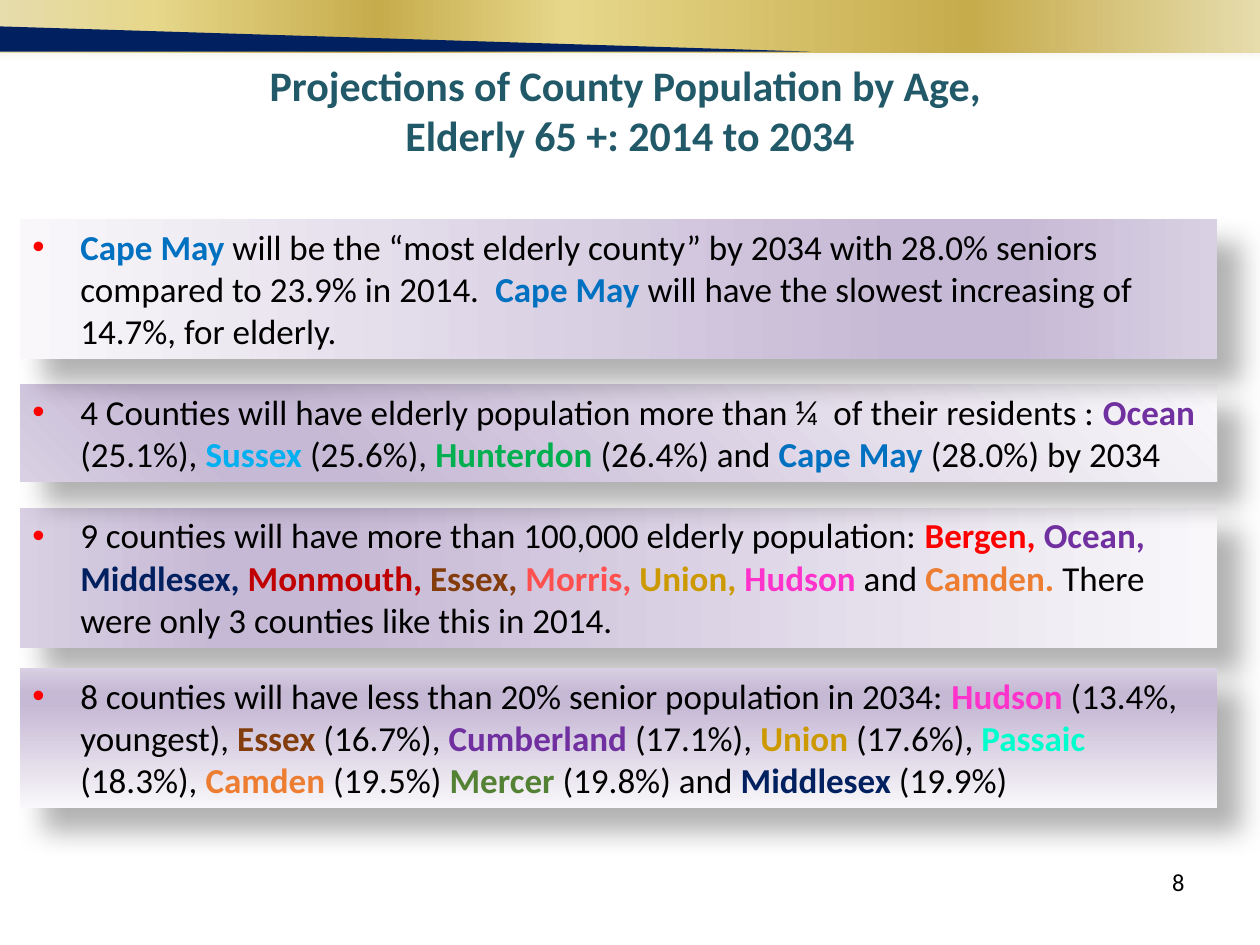
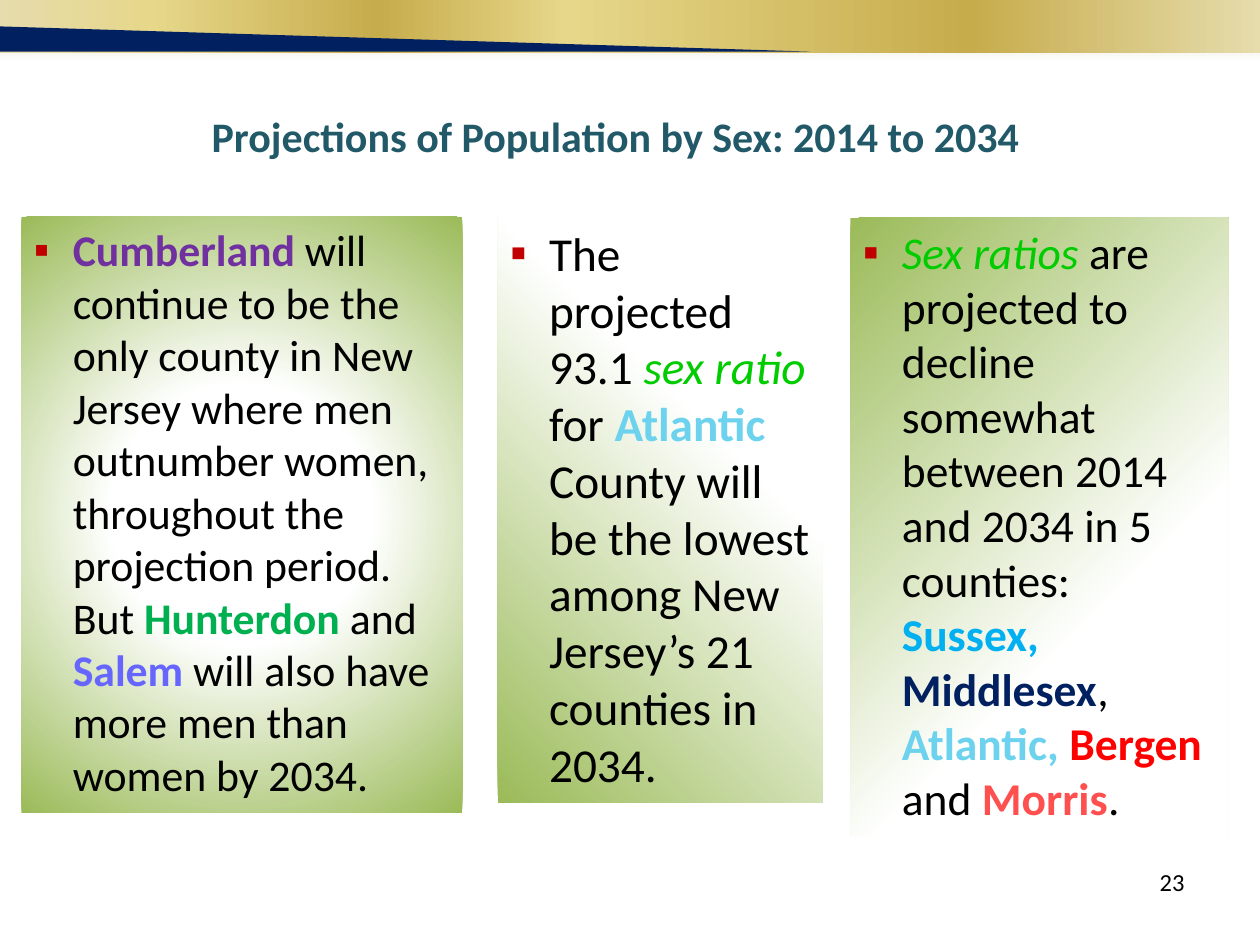
"""Build two slides on New Jersey county population projections."""
import pptx
import pptx.dml.color
import pptx.enum.shapes
import pptx.enum.text
import pptx.oxml
import pptx.oxml.ns
import pptx.util

Inches = pptx.util.Inches
Points = pptx.util.Pt
RECTANGLE = pptx.enum.shapes.MSO_SHAPE.RECTANGLE
ALIGN = pptx.enum.text.PP_ALIGN
TOP = pptx.enum.text.MSO_ANCHOR.TOP
NAMESPACE = pptx.oxml.ns.nsdecls("a")

BLACK, NAVY, TEAL = "000000", "002060", "215968"
GOLD = [(0, "E6DCAC"), (12, "E6D78A"), (30, "C7AC4C"), (45, "E6D78A"), (77, "C7AC4C"), (100, "E6DCAC")]
FADE = [(0, "EEECE1"), (100, "FFFFFF")]
LILAC = [(0, "F9F7FA"), (74, "C6B9D5"), (83, "C6B9D5"), (100, "D9D0E3")]
GREEN = [(0, "FFFFFF"), (35, "FFFFFF"), (100, "9BBB59")]
HIGHLIGHTS = {
    "Atlantic": "6CD2EE", "Bergen": "FF0000", "Camden": "ED7D31", "Cape May": "0070C0",
    "Cumberland": "7030A0", "Essex": "833C0C", "Hudson": "FF33CC", "Hunterdon": "00B050",
    "Mercer": "548235", "Middlesex": NAVY, "Monmouth": "C00000", "Morris": "FF5050",
    "Ocean": "7030A0", "Passaic": "00FFCC", "Salem": "6666FF", "Sussex": "00B0F0",
    "Union": "CC9900", "sex ratio": "00CC00", "Sex ratios": "00CC00",
}
SHADOW = (
    f'<a:outerShdw {NAMESPACE} blurRad="190500" dist="228600" dir="2700000" algn="tl" rotWithShape="0">'
    '<a:srgbClr val="000000"><a:alpha val="30000"/></a:srgbClr></a:outerShdw>'
)


def colour(hex_value):
    """Turn a hex string into a colour."""
    return pptx.dml.color.RGBColor.from_string(hex_value)


def add_gradient_box(slide, box, stops, direction):
    """Add a flat rectangle; direction is an angle or the four sides of a focus."""
    shape = slide.shapes.add_shape(RECTANGLE, *map(Inches, box))
    shape.shadow.inherit = False
    shape.line.fill.background()
    shape.fill.gradient()
    gradient = shape.element.spPr.find(pptx.oxml.ns.qn("a:gradFill"))
    gradient.clear()
    stop_xml = "".join(
        f'<a:gs pos="{position * 1000}"><a:srgbClr val="{value}"/></a:gs>' for position, value in stops)
    gradient.append(pptx.oxml.parse_xml(f"<a:gsLst {NAMESPACE}>{stop_xml}</a:gsLst>"))
    if isinstance(direction, tuple):
        sides = " ".join(f'{side}="{percent * 1000}"' for side, percent in zip("ltrb", direction))
        path_xml = f'<a:path {NAMESPACE} path="circle"><a:fillToRect {sides}/></a:path>'
    else:
        path_xml = f'<a:lin {NAMESPACE} ang="{direction * 60000}" scaled="0"/>'
    gradient.append(pptx.oxml.parse_xml(path_xml))
    return shape


SLIDES = [
    {
        "title": "Projections of County Population by Age, \nElderly 65 +: 2014 to 2034",
        "title_box": (0.79, 0.42, 8.42, 0.91), "title_align": ALIGN.CENTER, "number": "8",
        "stops": LILAC, "bullet": "•", "bullet_colour": "FF0000", "indent": 0.38, "shadow": True,
        "cards": [
            ((0.16, 4.03, 9.5, 1.11), 180, 20,
             "9 counties will have more than 100,000 elderly population: |Bergen, ||Ocean, ||Middlesex, |"
             "|Monmouth, ||Essex, ||Morris, ||Union, ||Hudson| and |Camden. |"
             "There were only 3 counties like this in 2014."),
            ((0.16, 3.05, 9.5, 0.77), 135, 20,
             "4 Counties will have elderly population more than ¼  of their residents : |Ocean| (25.1%), "
             "|Sussex |(25.6%), |Hunterdon |(26.4%) and |Cape May |(28.0%) by 2034"),
            ((0.16, 5.3, 9.5, 1.11), 270, 20,
             "8 counties will have less than 20% senior population in 2034: |Hudson| (13.4%, youngest), "
             "|Essex| (16.7%), |Cumberland| (17.1%), |Union| (17.6%), |Passaic| (18.3%), "
             "|Camden| (19.5%) |Mercer| (19.8%) and |Middlesex| (19.9%)"),
            ((0.16, 1.74, 9.5, 1.11), 0, 20,
             "|Cape May| will be the “most elderly county” by 2034 with 28.0% seniors compared to 23.9% "
             "in 2014.  |Cape May| will have the slowest increasing of 14.7%, for elderly."),
        ],
    },
    {
        "title": "Projections of Population by Sex: 2014 to 2034",
        "title_box": (1.58, 0.83, 6.67, 0.5), "title_align": ALIGN.LEFT, "number": "23",
        "stops": GREEN, "bullet": "▪", "bullet_colour": "C00000", "indent": 0.31, "shadow": False,
        "cards": [
            ((0.17, 1.72, 3.5, 4.73), (50, 50, 50, 50), 25,
             "|Cumberland |will continue to be the only county in New Jersey where men outnumber women, "
             "throughout the projection period.  But |Hunterdon| and |Salem| will also have more men "
             "than women by 2034."),
            ((6.75, 1.73, 3, 4.91), (100, 100, 0, 0), 26,
             "|Sex ratios |are projected to decline somewhat between 2014 and 2034 in 5 counties: "
             "|Sussex, ||Middlesex|, |Atlantic, ||Bergen |and |Morris|."),
            ((3.95, 1.73, 2.58, 4.64), (100, 0, 0, 100), 27,
             "The projected 93.1 |sex ratio |for |Atlantic |County will be the lowest among "
             "New Jersey’s 21 counties in 2034."),
        ],
    },
]

presentation = pptx.Presentation()
presentation.slide_width, presentation.slide_height = Inches(10), Inches(7.5)
layout = presentation.slide_layouts.get_by_name("Title Only")
slides = [presentation.slides.add_slide(layout) for _ in SLIDES]

fade_band = add_gradient_box(slides[0], (0, 0.33, 10, 0.17), FADE, 90)
gold_band = add_gradient_box(slides[0], (0, 0, 10, 0.42), GOLD, 0)
builder = slides[0].shapes.build_freeform(0, Inches(0.21))
builder.add_line_segments([(Inches(6.43), Inches(0.41)), (0, Inches(0.41))])
navy_wedge = builder.convert_to_shape()
navy_wedge.shadow.inherit = False
navy_wedge.fill.solid()
navy_wedge.fill.fore_color.rgb = colour(NAVY)
navy_wedge.line.fill.background()
for index, shape in enumerate((fade_band, gold_band, navy_wedge)):
    shape.element.nvSpPr.cNvPr.set("id", str(20 + index))
    layout.shapes.element.insert(2 + index, shape.element)

for slide, content in zip(slides, SLIDES):
    number_box = slide.shapes.add_textbox(*map(Inches, (7.17, 6.83, 2.33, 0.52)))
    number_box.text_frame.text = content["number"]
    title = slide.shapes.title
    title.left, title.top, title.width, title.height = map(Inches, content["title_box"])
    title.text_frame.text = content["title"]
    labels = [
        (number_box, ALIGN.RIGHT, {"name": "Calibri", "size": Points(14)}, BLACK),
        (title, content["title_align"], {"name": "Calibri", "size": Points(24), "bold": True}, TEAL),
    ]
    for shape, alignment, font_format, hex_value in labels:
        shape.text_frame.word_wrap = True
        shape.text_frame.vertical_anchor = TOP
        shape.text_frame.auto_size = pptx.enum.text.MSO_AUTO_SIZE.NONE
        for paragraph in shape.text_frame.paragraphs:
            paragraph.alignment = alignment
            for run in paragraph.runs:
                for attribute, value in font_format.items():
                    setattr(run.font, attribute, value)
                run.font.color.rgb = colour(hex_value)

    for box, direction, size, text in content["cards"]:
        card = add_gradient_box(slide, box, content["stops"], direction)
        if content["shadow"]:
            effects = card.element.spPr.find(pptx.oxml.ns.qn("a:effectLst"))
            effects.append(pptx.oxml.parse_xml(SHADOW))
        card.text_frame.word_wrap = True
        card.text_frame.vertical_anchor = TOP
        paragraph = card.text_frame.paragraphs[0]
        paragraph.alignment = ALIGN.LEFT
        properties = paragraph._p.get_or_add_pPr()
        indent = Inches(content["indent"])
        properties.set("marL", str(indent))
        properties.set("indent", str(-indent))
        for bullet_xml in (
            f'<a:buClr {NAMESPACE}><a:srgbClr val="{content["bullet_colour"]}"/></a:buClr>',
            f'<a:buFont {NAMESPACE} typeface="Arial"/>',
            f'<a:buChar {NAMESPACE} char="{content["bullet"]}"/>',
        ):
            properties.append(pptx.oxml.parse_xml(bullet_xml))
        for index, piece in enumerate(text.split("|")):
            if not piece:
                continue
            highlighted = index % 2 == 1
            is_ratio = highlighted and "ratio" in piece
            run = paragraph.add_run()
            run.text = piece
            run_format = {"name": "Calibri", "size": Points(size),
                          "bold": highlighted and not is_ratio, "italic": is_ratio}
            for attribute, value in run_format.items():
                setattr(run.font, attribute, value)
            run.font.color.rgb = colour(HIGHLIGHTS[piece.strip(" ,.")] if highlighted else BLACK)

presentation.save("out.pptx")
